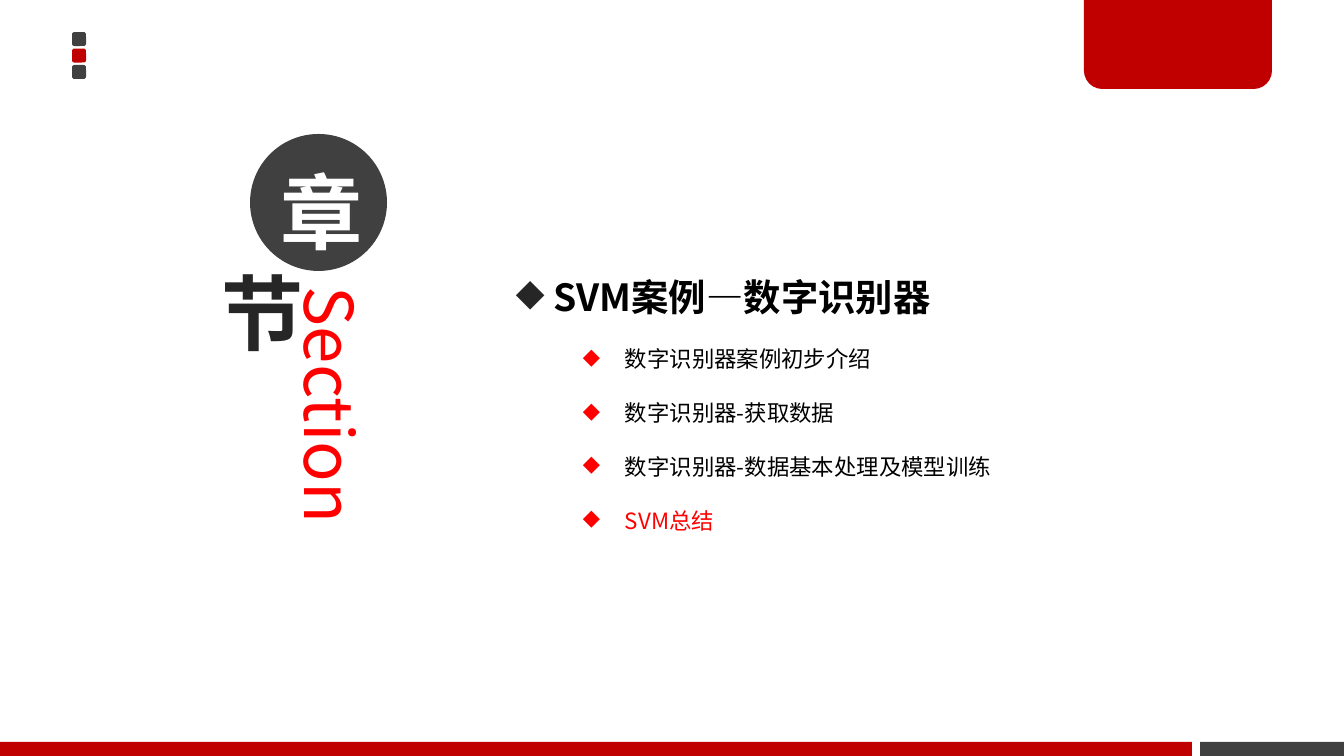
from lxml import etree
from pptx import Presentation, util as u
from pptx.dml.color import RGBColor
from pptx.enum import shapes, text
from pptx.oxml.ns import qn

# Content
DARK, RED, BRIGHT, INK, WHITE = "404040", "C00000", "FF0000", "262626", "FFFFFF"
FONT = "Noto Sans CJK SC"
HEADING = " SVM案例—数字识别器"
TOPICS = [
    ("数字识别器案例初步介绍", "000000"),
    ("数字识别器-获取数据", "000000"),
    ("数字识别器-数据基本处理及模型训练", "000000"),
    ("SVM总结", BRIGHT),
]
SQUARES = [DARK, RED, DARK]
FOOTER = [((1200, 742, 144, 14), DARK), ((0, 742, 1192, 14), RED)]

# Layout, in px
WIDTH, HEIGHT = 1344, 756
SQUARE_LEFT, SQUARE_TOP, SQUARE_SIZE, SQUARE_STEP = 72, 32, 14, 16.5
TAB = (1084, -3, 188, 92)
SECTION = (288, 282, 94, 388)
CHAPTER = (250, 134, 137, 137)
KNOT = (196, 258, 108, 108)
LIST = (503, 222, 634, 313)
INSETS = dict(margin_left=10, margin_top=5, margin_right=10, margin_bottom=5)


def px(value):
    return u.Emu(round(value * 914400 / 134.4))


def colour(value):
    return RGBColor.from_string(value)


def add_shape(kind, place, fill=None, adjustments=()):
    shape = page.shapes.add_shape(kind, *map(px, place))
    shape.shadow.inherit = False
    shape.line.fill.background()
    if fill:
        shape.fill.solid()
        shape.fill.fore_color.rgb = colour(fill)
    else:
        shape.fill.background()
    for index, value in enumerate(adjustments):
        shape.adjustments[index] = value
    return shape


def set_frame(frame, **insets):
    frame.word_wrap = True
    for name, value in {**INSETS, **insets}.items():
        setattr(frame, name, px(value))


def add_span(para, words, size, hue, bold=False):
    span = para.add_run()
    span.text = words
    for name, value in dict(name=FONT, size=u.Pt(size), bold=bold).items():
        setattr(span.font, name, value)
    span.font.color.rgb = colour(hue)
    etree.SubElement(span.font._element, qn("a:ea"), typeface=FONT)


def add_bullet(para, hue, indent, hanging):
    props = para._p.get_or_add_pPr()
    props.set("marL", str(px(indent)))
    props.set("indent", str(px(-hanging)))
    tint = etree.SubElement(props, qn("a:buClr"))
    etree.SubElement(tint, qn("a:srgbClr"), val=hue)
    etree.SubElement(props, qn("a:buChar"), char="◆")


deck = Presentation()
deck.slide_width, deck.slide_height = px(WIDTH), px(HEIGHT)
page = deck.slides.add_slide(deck.slide_layouts[6])
KIND = shapes.MSO_SHAPE

# Corner squares, footer bars and top tab
for row, fill in enumerate(SQUARES):
    top = SQUARE_TOP + row * SQUARE_STEP
    add_shape(KIND.ROUNDED_RECTANGLE, (SQUARE_LEFT, top, SQUARE_SIZE, SQUARE_SIZE), fill, [0.17])
for place, fill in FOOTER:
    add_shape(KIND.RECTANGLE, place, fill)
add_shape(KIND.ROUND_2_SAME_RECTANGLE, TAB, RED, [0, 0.2])

# Vertical section label
box = page.shapes.add_textbox(*map(px, SECTION))
set_frame(box.text_frame)
box.text_frame._txBody.bodyPr.set("vert", "vert")
add_span(box.text_frame.paragraphs[0], "Section", 36, BRIGHT)

# Chapter circles
for words, place, fill, hue, bottom, spacing in [
    ("章", CHAPTER, DARK, WHITE, 20, u.Pt(70)),
    ("节", KNOT, None, INK, 5, None),
]:
    circle = add_shape(KIND.OVAL, place, fill)
    set_frame(circle.text_frame, margin_bottom=bottom)
    circle.text_frame.vertical_anchor = text.MSO_ANCHOR.MIDDLE
    para = circle.text_frame.paragraphs[0]
    para.alignment = text.PP_ALIGN.CENTER
    para.line_spacing = spacing
    add_span(para, words, 44, hue, True)

# Topic list
box = page.shapes.add_textbox(*map(px, LIST))
set_frame(box.text_frame, margin_left=13, margin_top=7, margin_right=13, margin_bottom=7)
para = box.text_frame.paragraphs[0]
para.line_spacing = 2.0
add_bullet(para, INK, 26, 26)
add_span(para, HEADING, 20, "000000", True)
for words, hue in TOPICS:
    para = box.text_frame.add_paragraph()
    para.level = 1
    para.line_spacing = 2.0
    add_bullet(para, BRIGHT, 109, 42)
    add_span(para, words, 12, hue)

deck.save("out.pptx")
